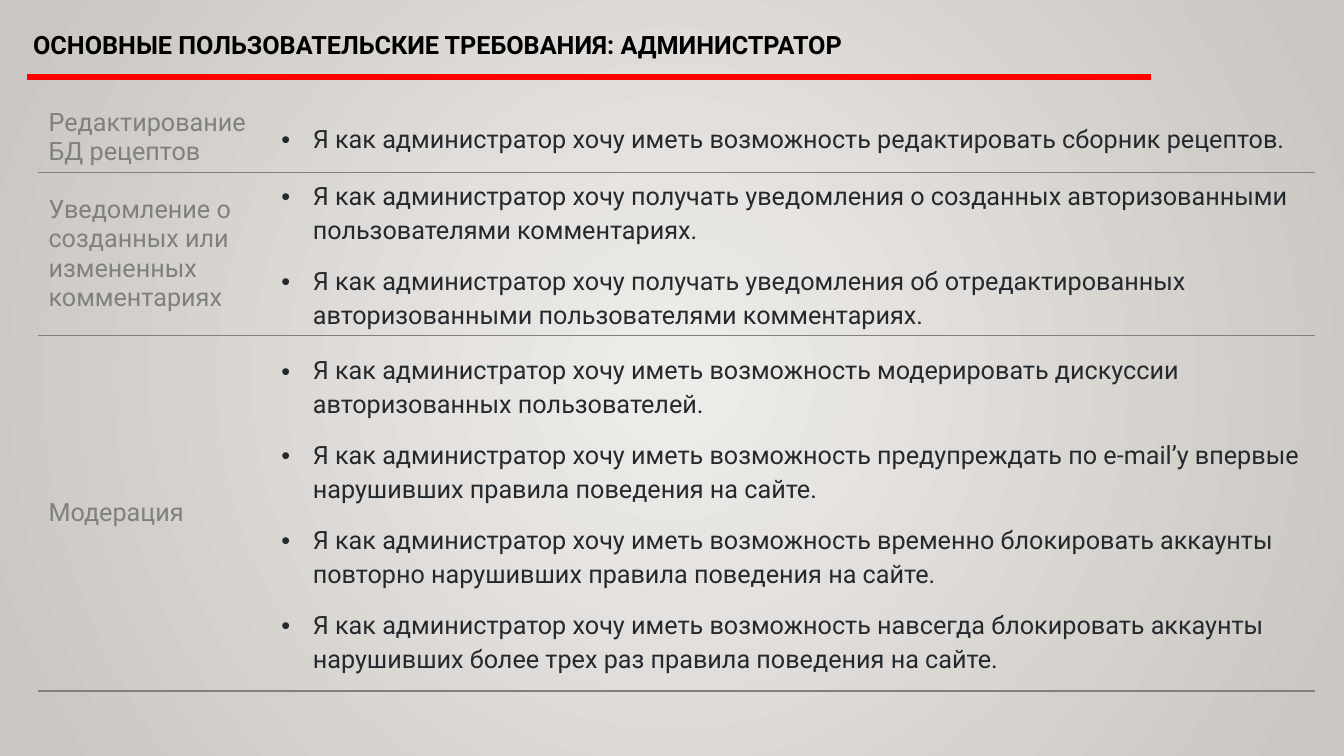
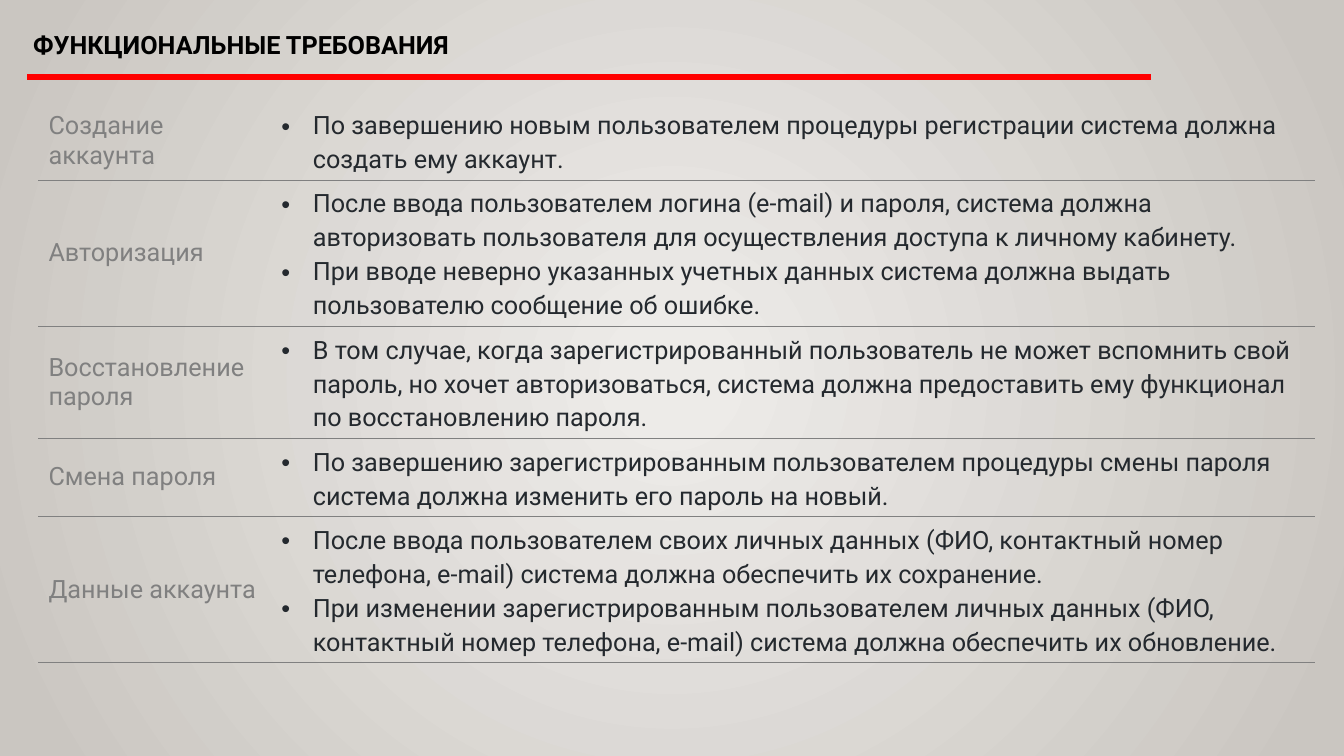
from dataclasses import dataclass
from lxml import etree
from pptx import Presentation
from pptx.dml.color import RGBColor
from pptx.enum.shapes import MSO_CONNECTOR
from pptx.enum.text import MSO_ANCHOR, PP_ALIGN
from pptx.oxml.ns import qn
from pptx.util import Cm, Pt

STRAIGHT = MSO_CONNECTOR.STRAIGHT
MIDDLE, BOTTOM = MSO_ANCHOR.MIDDLE, MSO_ANCHOR.BOTTOM
LEFT = PP_ALIGN.LEFT
PLAIN = "{2D5ABB26-0587-4C30-8999-92F81FD0307C}"  # table style without grid


@dataclass(frozen=True)
class Theme:
    font: str = "Roboto"
    size: int = 18
    title: str = "000000"
    bar: str = "FF0000"
    label: str = "808080"
    body: str = "24292E"
    rule: str = "808080"
    glow: tuple = ((0.05, "EDEBE8"), (0.95, "CAC6C1"))
    bar_w: float = 3.75
    rule_w: float = 1


THEME = Theme()

# Content: title, gap around paragraphs, rows of (label, height in cm, points)
DECK = [
    ("ОСНОВНЫЕ ПОЛЬЗОВАТЕЛЬСКИЕ ТРЕБОВАНИЯ: АДМИНИСТРАТОР", 6, [
        ("Редактирование БД рецептов", 1.78, [
            "Я как администратор хочу иметь возможность редактировать сборник рецептов.",
        ]),
        ("Уведомление о созданных или измененных комментариях", 4.1, [
            "Я как администратор хочу получать уведомления о созданных авторизованными пользователями комментариях.",
            "Я как администратор хочу получать уведомления об отредактированных авторизованными пользователями комментариях.",
        ]),
        ("Модерация", 8.96, [
            "Я как администратор хочу иметь возможность модерировать дискуссии авторизованных пользователей.",
            "Я как администратор хочу иметь возможность предупреждать по e-mail’у впервые нарушивших правила поведения на сайте.",
            "Я как администратор хочу иметь возможность временно блокировать аккаунты повторно нарушивших правила поведения на сайте.",
            "Я как администратор хочу иметь возможность навсегда блокировать аккаунты нарушивших более трех раз правила поведения на сайте.",
        ]),
    ]),
    ("ФУНКЦИОНАЛЬНЫЕ ТРЕБОВАНИЯ", 0, [
        ("Создание аккаунта", 1.97, [
            "По завершению новым пользователем процедуры регистрации система должна создать ему аккаунт.",
        ]),
        ("Авторизация", 3.68, [
            "После ввода пользователем логина (e-mail) и пароля, система должна авторизовать пользователя для осуществления доступа к личному кабинету.",
            "При вводе неверно указанных учетных данных система должна выдать пользователю сообщение об ошибке.",
        ]),
        ("Восстановление пароля", 2.82, [
            "В том случае, когда зарегистрированный пользователь не может вспомнить свой пароль, но хочет авторизоваться, система должна предоставить ему функционал по восстановлению пароля.",
        ]),
        ("Смена пароля", 1.97, [
            "По завершению зарегистрированным пользователем процедуры смены пароля система должна изменить его пароль на новый.",
        ]),
        ("Данные аккаунта", 3.68, [
            "После ввода пользователем своих личных данных (ФИО, контактный номер телефона, e-mail) система должна обеспечить их сохранение.",
            "При изменении зарегистрированным пользователем личных данных (ФИО, контактный номер телефона, e-mail) система должна обеспечить их обновление.",
        ]),
    ]),
]

# Places, in cm
WIDE, HIGH = 33.87, 19.05
HEAD = {"left": 0.58, "top": 0, "width": 32.39, "height": 1.65}
BAR = (0.69, 1.94, 29, 1.94)
GRID_X, GRID_Y = 0.97, 2.57
COLS = (5.87, 26.29)
HANG = 0.79


def put(obj, form):
    for name, value in form.items():
        setattr(obj, name, value)


def write(para, text, color, form, bold=False):
    put(para, {"alignment": LEFT, **form})
    run = para.add_run()
    run.text = text
    put(run.font, {"name": THEME.font, "size": Pt(THEME.size), "bold": bold})
    run.font.color.rgb = RGBColor.from_string(color)


def bullet(para):
    props = para._p.get_or_add_pPr()
    props.set("marL", str(Cm(HANG)))
    props.set("indent", str(-Cm(HANG)))
    etree.SubElement(props, qn("a:buFont"), typeface="Arial")
    etree.SubElement(props, qn("a:buChar"), char="•")


def glow(master):
    """Radial background shared by all slides."""
    fill = master.background.fill
    fill.gradient()
    for stop, (pos, color) in zip(fill.gradient_stops, THEME.glow):
        stop.position = pos
        stop.color.rgb = RGBColor.from_string(color)
    grad = next(master.element.iter(qn("a:gradFill")))
    grad.remove(grad.find(qn("a:lin")))
    ring = etree.SubElement(grad, qn("a:path"), {"path": "circle"})
    etree.SubElement(ring, qn("a:fillToRect"), dict.fromkeys("ltrb", "50000"))


def header(slide, text):
    title = slide.shapes.title
    put(title, {side: Cm(size) for side, size in HEAD.items()})
    put(title.text_frame, {"vertical_anchor": BOTTOM, "word_wrap": True})
    write(title.text_frame.paragraphs[0], text, THEME.title,
          {"line_spacing": 0.9}, bold=True)
    bar = slide.shapes.add_connector(STRAIGHT, *map(Cm, BAR))
    bar.line.color.rgb = RGBColor.from_string(THEME.bar)
    bar.line.width = Pt(THEME.bar_w)
    etree.SubElement(bar._element.spPr, qn("a:effectLst"))


def rule(cell):
    """Line under a cell."""
    line = etree.Element(qn("a:lnB"), w=str(Pt(THEME.rule_w)))
    fill = etree.SubElement(line, qn("a:solidFill"))
    etree.SubElement(fill, qn("a:srgbClr"), val=THEME.rule)
    cell._tc.get_or_add_tcPr().insert(0, line)


def grid(slide, rows, gap):
    tall = sum(high for _, high, _ in rows)
    frame = slide.shapes.add_table(len(rows), len(COLS), Cm(GRID_X), Cm(GRID_Y),
                                   Cm(sum(COLS)), Cm(tall))
    table = frame.table
    put(table, {"first_row": False, "horz_banding": False})
    next(frame._element.iter(qn("a:tableStyleId"))).text = PLAIN
    for col, wide in zip(table.columns, COLS):
        col.width = Cm(wide)
    form = {"line_spacing": 1.15, "space_before": Pt(gap), "space_after": Pt(gap)}
    for row, (label, high, points) in zip(table.rows, rows):
        row.height = Cm(high)
        for cell in row.cells:
            cell.vertical_anchor = MIDDLE
            cell.fill.background()
            rule(cell)
        name, body = (cell.text_frame for cell in row.cells)
        write(name.paragraphs[0], label, THEME.label, {})
        for num, point in enumerate(points):
            para = body.add_paragraph() if num else body.paragraphs[0]
            write(para, point, THEME.body, form)
            bullet(para)


def main():
    deck = Presentation()
    put(deck, {"slide_width": Cm(WIDE), "slide_height": Cm(HIGH)})
    glow(deck.slide_master)
    layout = deck.slide_layouts.get_by_name("Title Only")
    for title, gap, rows in DECK:
        slide = deck.slides.add_slide(layout)
        header(slide, title)
        grid(slide, rows, gap)
    deck.save("out.pptx")


if __name__ == "__main__":
    main()
